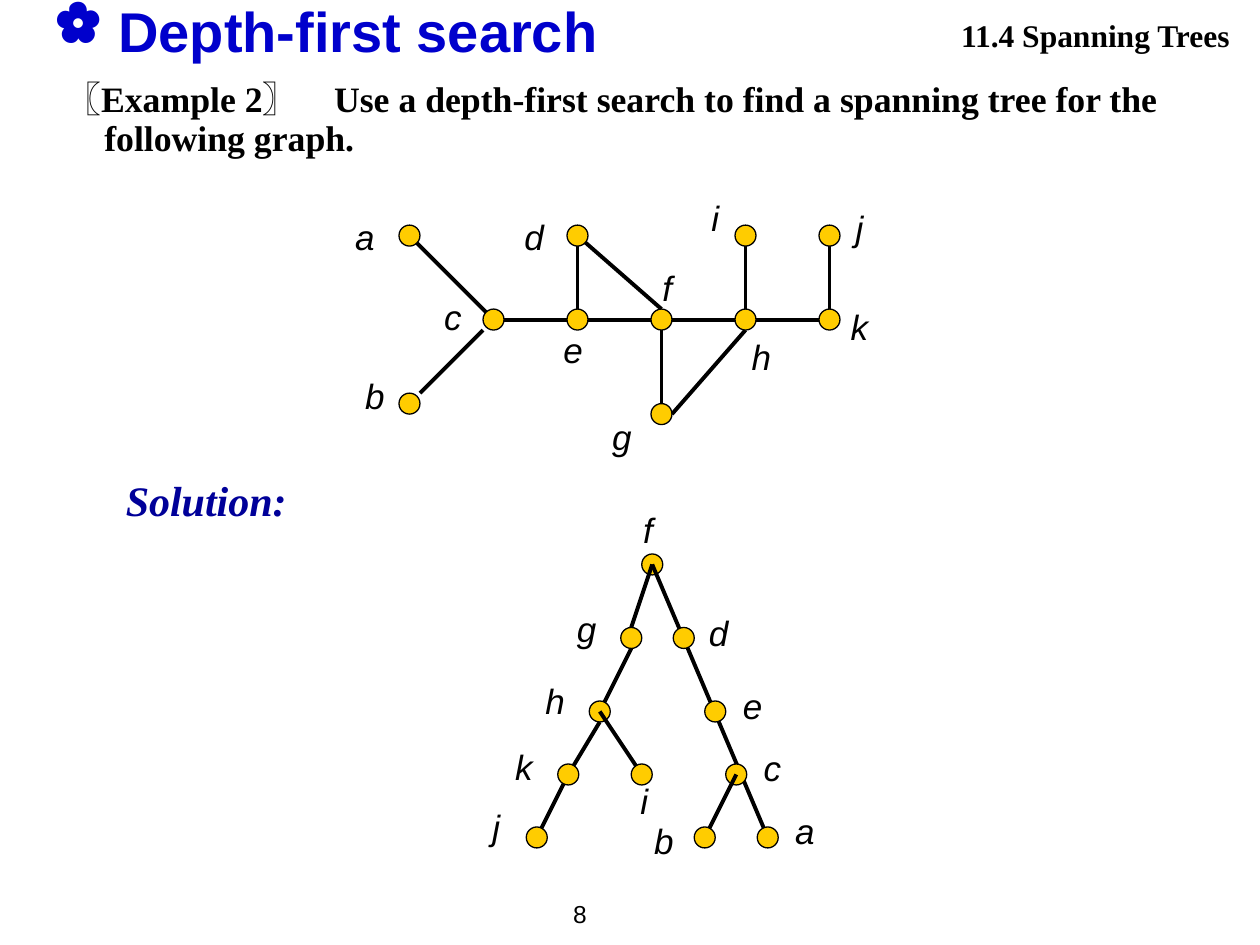
from dataclasses import dataclass

from lxml.etree import SubElement
from pptx import Presentation
from pptx.dml.color import RGBColor
from pptx.enum.shapes import MSO_CONNECTOR as Connector, MSO_SHAPE as Shape
from pptx.enum.text import MSO_ANCHOR as Anchor, PP_ALIGN as Align
from pptx.oxml.ns import qn
from pptx.util import Inches, Pt

BLACK = RGBColor(0x00, 0x00, 0x00)
BLUE = RGBColor(0x00, 0x00, 0xCC)
NAVY = RGBColor(0x00, 0x00, 0x99)
GOLD = RGBColor(0xFF, 0xCC, 0x00)

TITLE = {"name": "Arial", "size": Pt(32), "bold": True}
HEADER = {"name": "Times New Roman", "size": Pt(18), "bold": True}
EXAMPLE = {"name": "Times New Roman", "size": Pt(20.4), "bold": True}
SOLUTION = {"name": "Times New Roman", "size": Pt(24), "bold": True, "italic": True}
LABEL = {"name": "Arial", "size": Pt(20), "italic": True}
NUMBER = {"name": "Arial", "size": Pt(14)}

# Nodes sit on a grid of twelve cells to the inch; one cell is a node's radius.
CELL = 1 / 12
CENTER, TOP, BOTTOM, LEFT, RIGHT = (0, 0), (0, -1), (0, 1), (-1, 0), (1, 0)
TOP_RIGHT, BOTTOM_LEFT = (1, -1), (-1, 1)


@dataclass
class Node:
    """Grid position, and the label box's offset from the center in inches."""
    column: int
    row: int
    label_x: float
    label_y: float
    label_width: float = 0.33


GRAPH_NODES = {
    "a": Node(0, 0, -0.53, -0.21),
    "b": Node(0, 16, -0.45, -0.28),
    "c": Node(8, 8, -0.49, -0.24),
    "d": Node(16, 0, -0.52, -0.21),
    "e": Node(16, 8, -0.21, 0.02),
    "f": Node(24, 8, -0.09, -0.47),
    "g": Node(24, 17, -0.49, -0.04),
    "h": Node(32, 8, -0.05, 0.08),
    "i": Node(32, 0, -0.37, -0.36),
    "j": Node(40, 0, 0.11, -0.28),
    "k": Node(40, 8, 0.07, -0.16),
}
GRAPH_LAYERS = [
    ([("a", CENTER, "c", CENTER),
      ("b", TOP_RIGHT, "c", BOTTOM_LEFT),
      ("c", RIGHT, "e", LEFT),
      ("e", RIGHT, "f", LEFT),
      ("f", RIGHT, "h", LEFT),
      ("h", RIGHT, "k", LEFT),
      ("i", BOTTOM, "h", TOP),
      ("j", BOTTOM, "k", TOP),
      ("f", BOTTOM, "g", TOP),
      ("g", RIGHT, "h", BOTTOM),
      ("d", BOTTOM, "e", TOP),
      ("d", CENTER, "f", TOP)], "abcdefghijk"),
]

TREE_NODES = {
    "f": Node(11, 0, -0.17, -0.49),
    "g": Node(9, 7, -0.53, -0.29),
    "d": Node(14, 7, 0.1, -0.26, 0.42),
    "h": Node(6, 14, -0.53, -0.3, 0.42),
    "e": Node(17, 14, 0.12, -0.26, 0.5),
    "k": Node(3, 20, -0.52, -0.28),
    "i": Node(10, 20, -0.11, -0.01),
    "c": Node(19, 20, 0.12, -0.27),
    "j": Node(0, 26, -0.45, -0.3),
    "b": Node(16, 26, -0.5, -0.19, 0.42),
    "a": Node(22, 26, 0.12, -0.27),
}
TREE_LAYERS = [
    ([], "f"),
    ([("f", CENTER, "g", TOP),
      ("g", BOTTOM, "h", CENTER),
      ("h", BOTTOM, "k", CENTER),
      ("k", CENTER, "j", CENTER),
      ("f", CENTER, "a", CENTER)], "ghkjdeca"),
    ([("h", CENTER, "i", CENTER),
      ("c", CENTER, "b", CENTER)], "ib"),
]


def add_text(slide, box, text, font_format, color=BLACK, align=Align.LEFT):
    text_box = slide.shapes.add_textbox(*map(Inches, box))
    text_box.text_frame.word_wrap = True
    paragraph = text_box.text_frame.paragraphs[0]
    paragraph.alignment = align
    run = paragraph.add_run()
    run.text = text
    for name, value in font_format.items():
        setattr(run.font, name, value)
    run.font.color.rgb = color
    return text_box.text_frame


def set_indent(paragraph, margin, indent):
    properties = paragraph._p.get_or_add_pPr()
    properties.set("marL", str(Inches(margin)))
    properties.set("indent", str(Inches(indent)))
    return properties


def add_title(slide, box):
    frame = add_text(slide, box, "Depth-first search", TITLE, BLUE)
    properties = set_indent(frame.paragraphs[0], 0.5, -0.5)
    bullet_color = SubElement(properties, qn("a:buClr"))
    SubElement(bullet_color, qn("a:srgbClr"), val=str(BLUE))
    SubElement(properties, qn("a:buChar"), char="✿")


def add_header(slide, box):
    frame = add_text(slide, box, "11.4 Spanning Trees", HEADER, align=Align.RIGHT)
    frame.margin_right = Inches(0.16)


def add_example(slide, box):
    frame = add_text(
        slide, box,
        "〖Example 2〗　Use a depth-first search to find a spanning tree"
        " for the following graph.", EXAMPLE)
    paragraph = frame.paragraphs[0]
    paragraph.line_spacing = 0.9
    set_indent(paragraph, 0.38, -0.31)


def add_page_number(slide, box):
    frame = add_text(slide, box, "8", NUMBER)
    frame.word_wrap = False
    frame.vertical_anchor = Anchor.MIDDLE


def add_edge(slide, start, end):
    line = slide.shapes.add_connector(
        Connector.STRAIGHT, *map(Inches, (*start, *end)))
    line.line.color.rgb = BLACK
    line.line.width = Pt(2.25)
    SubElement(line._element.spPr, qn("a:effectLst"))


def add_node(slide, center, name, node):
    x, y = center
    dot = slide.shapes.add_shape(
        Shape.OVAL, *map(Inches, (x - CELL, y - CELL, 2 * CELL, 2 * CELL)))
    dot.shadow.inherit = False
    dot.fill.solid()
    dot.fill.fore_color.rgb = GOLD
    dot.line.color.rgb = BLACK
    dot.line.width = Pt(0.75)
    label_box = (x + node.label_x, y + node.label_y, node.label_width, 0.44)
    add_text(slide, label_box, name, LABEL)


def add_graph(slide, origin, nodes, layers):
    """Draw each layer's edges, then its nodes, from back to front."""
    def locate(name, side=CENTER):
        node = nodes[name]
        return (origin[0] + (node.column + side[0]) * CELL,
                origin[1] + (node.row + side[1]) * CELL)

    for edges, names in layers:
        for start, start_side, end, end_side in edges:
            add_edge(slide, locate(start, start_side), locate(end, end_side))
        for name in names:
            add_node(slide, locate(name), name, nodes[name])


def main():
    presentation = Presentation()
    presentation.slide_width = Inches(10)
    presentation.slide_height = Inches(7.5)
    slide = presentation.slides.add_slide(presentation.slide_layouts[6])
    add_page_number(slide, (4.45, 7, 0.67, 0.5))
    add_text(slide, (0.9, 3.72, 8.5, 0.5), "Solution:", SOLUTION, NAVY)
    add_example(slide, (0.35, 0.6, 9.15, 0.79))
    add_graph(slide, (4.26, 4.48), TREE_NODES, TREE_LAYERS)
    add_graph(slide, (3.25, 1.87), GRAPH_NODES, GRAPH_LAYERS)
    add_header(slide, (3.98, 0.08, 5.94, 0.4))
    add_title(slide, (0.34, -0.08, 9, 0.69))
    presentation.save("out.pptx")


if __name__ == "__main__":
    main()
